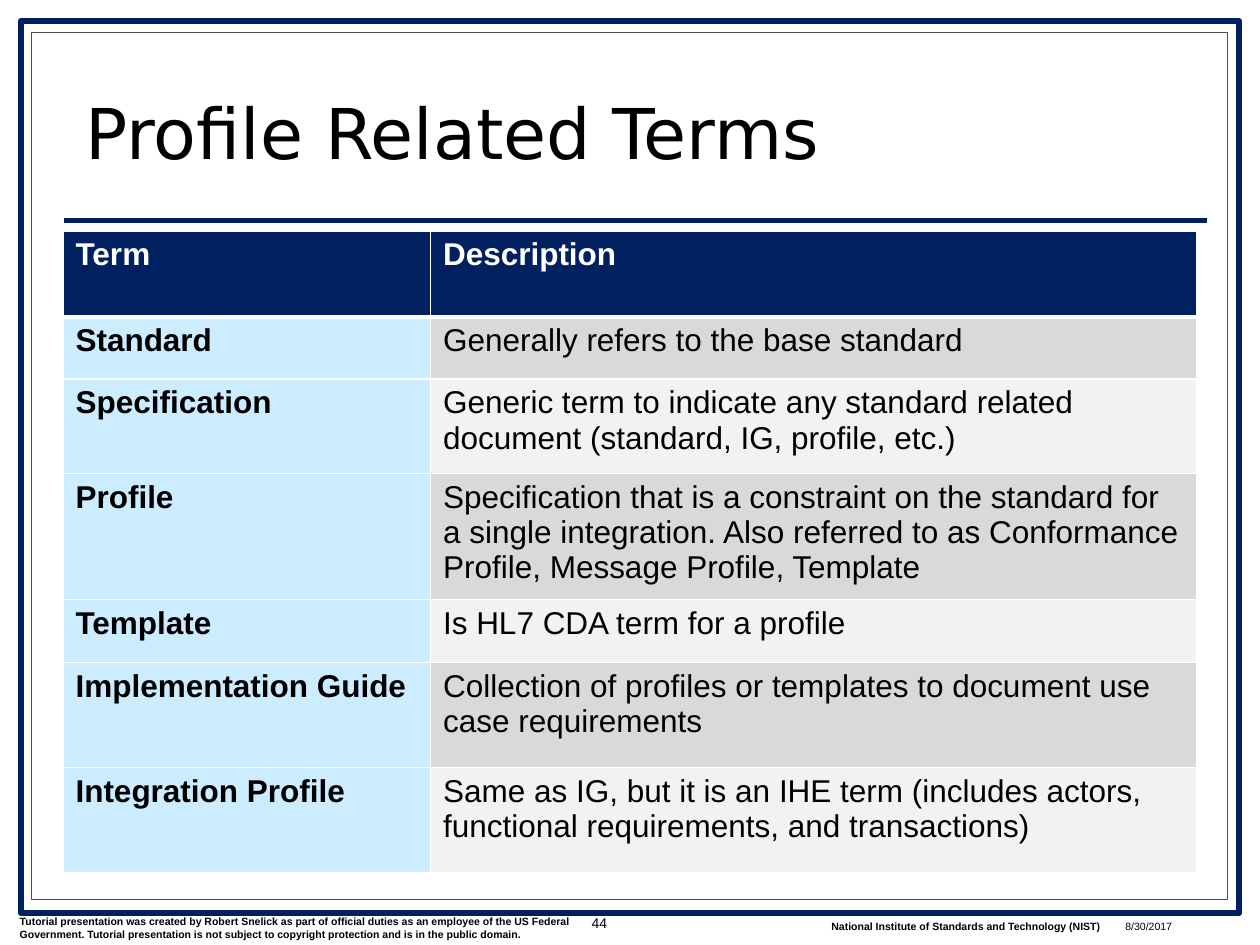
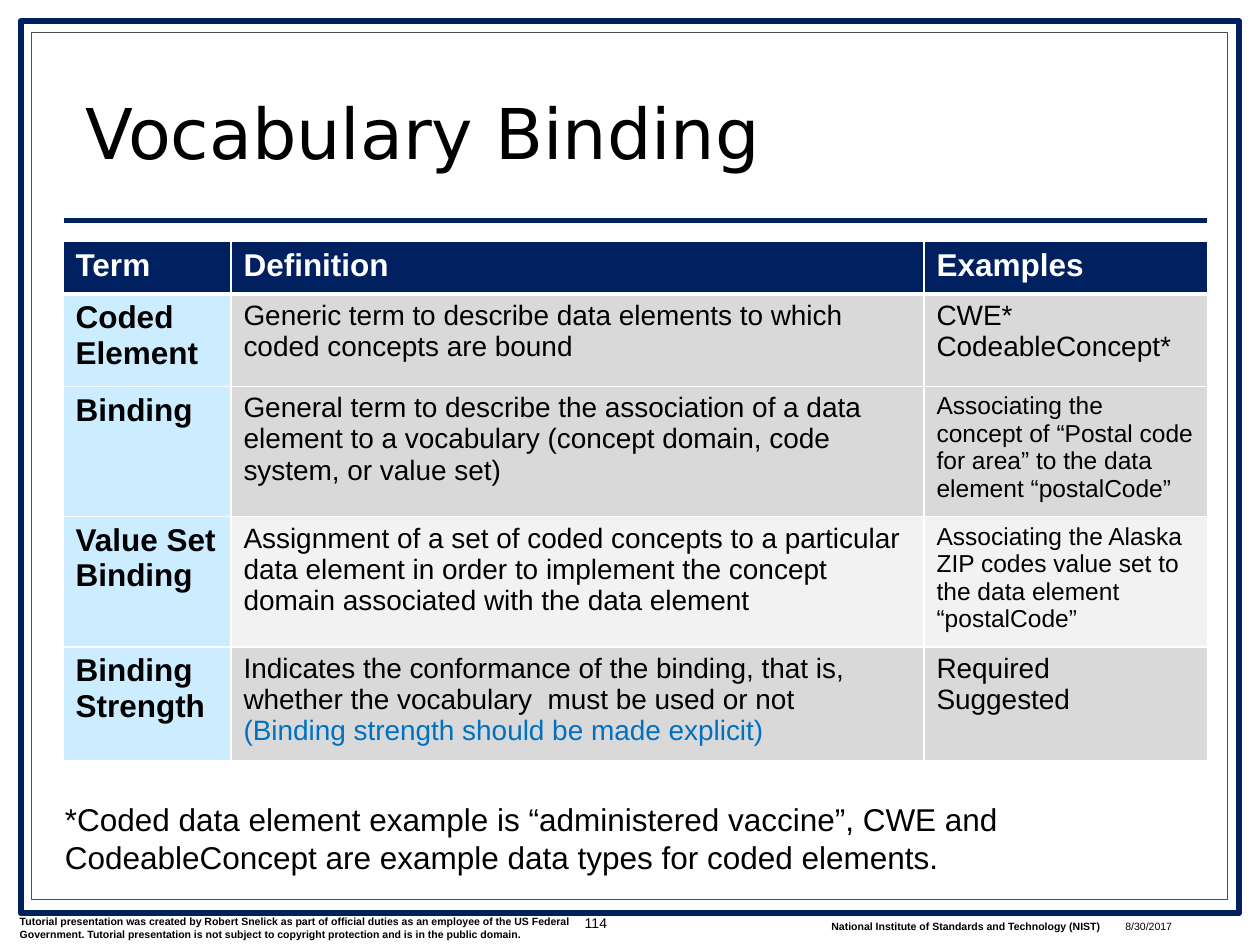
from lxml import etree
from pptx import Presentation
from pptx.dml.color import RGBColor
from pptx.enum import shapes, text
from pptx.oxml import ns
from pptx import util as u

NAVY = RGBColor(0x00, 0x20, 0x60)
CHARCOAL = RGBColor(0x4D, 0x4D, 0x4D)
BLACK = RGBColor(0x00, 0x00, 0x00)
WHITE = RGBColor(0xFF, 0xFF, 0xFF)
SKY = RGBColor(0xCC, 0xEC, 0xFF)
GREY = RGBColor(0xD9, 0xD9, 0xD9)
PALE = RGBColor(0xF2, 0xF2, 0xF2)
BLUE = RGBColor(0x00, 0x70, 0xC0)

WIDTH, HEIGHT = u.Inches(10), u.Inches(7.5)
COLUMNS, ROWS = 120, 90
BODY_FONT, TITLE_FONT = "Arial", "DejaVu Sans"

CREDIT = (
    "Tutorial presentation was created by Robert Snelick as part of official duties "
    "as an employee of the US Federal Government. Tutorial presentation is not subject "
    "to copyright protection and is in the public domain."
)
INSTITUTE = "National Institute of Standards and Technology (NIST)"
DATE = "8/30/2017"

PROFILE_TERMS = [
    ("Standard", "Generally refers to the base standard"),
    ("Specification",
     "Generic term to indicate any standard related document (standard, IG, profile, etc.)"),
    ("Profile",
     "Specification that is a constraint on the standard for a single integration. "
     "Also referred to as Conformance Profile, Message Profile, Template"),
    ("Template", "Is HL7 CDA term for a profile"),
    ("Implementation Guide",
     "Collection of profiles or templates to document use case requirements"),
    ("Integration Profile",
     "Same as IG, but it is an IHE term (includes actors, functional requirements, "
     "and transactions)"),
]

BINDING_TERMS = [
    ("Coded Element", GREY,
     ["Generic term to describe data elements to which coded concepts are bound"],
     ["CWE*", "CodeableConcept*"], 16),
    ("Binding", GREY,
     ["General term to describe the association of a data element to a vocabulary "
      "(concept domain, code system, or value set)"],
     ["Associating the concept of “Postal code for area” to the data element “postalCode”"], 14),
    ("Value Set Binding", PALE,
     ["Assignment of a set of coded concepts to a particular data element in order to "
      "implement the concept domain associated with the data element"],
     ["Associating the Alaska ZIP codes value set to the data element “postalCode”"], 14),
    ("Binding Strength", GREY,
     ["Indicates the conformance of the binding, that is, whether the vocabulary  must be "
      "used or not",
      ("(Binding strength should be made explicit)", BLUE)],
     ["Required", "Suggested"], 16),
]


def across(columns):
    return int(WIDTH * columns / COLUMNS)


def down(rows):
    return int(HEIGHT * rows / ROWS)


def area(left, top, width, height):
    return across(left), down(top), across(width), down(height)


def write(frame, lines, size, color=BLACK, bold=False, font=BODY_FONT,
          align=None, spacing=None):
    for index, line in enumerate(lines):
        words, line_color = line if isinstance(line, tuple) else (line, color)
        paragraph = frame.paragraphs[0] if index == 0 else frame.add_paragraph()
        paragraph.alignment = align
        paragraph.line_spacing = spacing
        run = paragraph.add_run()
        run.text = words
        run.font.name = font
        run.font.size = u.Pt(size)
        run.font.bold = bold
        run.font.color.rgb = line_color


def add_words(slide, place, words, size, anchor=text.MSO_ANCHOR.TOP, grow=False, **style):
    frame = slide.shapes.add_textbox(*area(*place)).text_frame
    frame.word_wrap = True
    frame.vertical_anchor = anchor
    if grow:
        frame.auto_size = text.MSO_AUTO_SIZE.SHAPE_TO_FIT_TEXT
    write(frame, [words], size, **style)


def add_frame(slide, place, color, weight):
    border = slide.shapes.add_shape(shapes.MSO_SHAPE.RECTANGLE, *area(*place))
    border.shadow.inherit = False
    border.fill.solid()
    border.fill.fore_color.rgb = WHITE
    border.line.color.rgb = color
    border.line.width = u.Pt(weight)


def add_title_rule(slide):
    rule = slide.shapes.add_connector(
        shapes.MSO_CONNECTOR.STRAIGHT, across(6.1), down(21), across(115), down(21))
    rule.line.color.rgb = NAVY
    rule.line.width = u.Pt(3)
    etree.SubElement(rule._element.spPr, ns.qn("a:effectLst"))


def add_term_slide(deck, title, number):
    slide = deck.slides.add_slide(deck.slide_layouts[6])
    add_frame(slide, (2, 2, 116, 85), NAVY, 3.5)
    add_frame(slide, (3, 3.1, 113.9, 82.6), CHARCOAL, 0.75)
    add_title_rule(slide)
    add_words(slide, (0.7, 86.6, 58, 3.6), CREDIT, 6, grow=True, bold=True)
    add_words(slide, (78, 87, 28.5, 2.4), INSTITUTE, 6, grow=True, bold=True)
    add_words(slide, (7, 6.25, 107, 10.8), title, 40, anchor=text.MSO_ANCHOR.BOTTOM,
              font=TITLE_FONT, spacing=0.8)
    add_words(slide, (106, 87, 11, 2), DATE, 6)
    add_words(slide, (52, 84.8, 7, 6.2), number, 8, anchor=text.MSO_ANCHOR.MIDDLE,
              align=text.PP_ALIGN.RIGHT)
    return slide


def set_borders(cell, top, bottom):
    properties = cell._tc.get_or_add_tcPr()
    for side, weight in (("L", 1), ("R", 1), ("T", top), ("B", bottom)):
        edge = etree.SubElement(properties, ns.qn(f"a:ln{side}"), w=str(u.Pt(weight)))
        fill = etree.SubElement(edge, ns.qn("a:solidFill"))
        etree.SubElement(fill, ns.qn("a:srgbClr"), val=str(WHITE))


def fill_cell(cell, lines, fill, size=18, color=BLACK, bold=False, top=1, bottom=1):
    set_borders(cell, top, bottom)
    cell.fill.solid()
    cell.fill.fore_color.rgb = fill
    write(cell.text_frame, lines, size, color, bold)


def add_term_table(slide, top, widths, heights, headings, entries):
    table = slide.shapes.add_table(
        len(heights), len(widths), *area(6, top, sum(widths), sum(heights))).table
    for column, width in zip(table.columns, widths):
        column.width = across(width)
    for row, height in zip(table.rows, heights):
        row.height = down(height)
    for column, heading in enumerate(headings):
        fill_cell(table.cell(0, column), [heading], NAVY, color=WHITE, bold=True, bottom=3)
    for row, (term, shade, details) in enumerate(entries, 1):
        top_weight = 3 if row == 1 else 1
        fill_cell(table.cell(row, 0), [term], SKY, bold=True, top=top_weight)
        for column, (lines, size) in enumerate(details, 1):
            fill_cell(table.cell(row, column), lines, shade, size, top=top_weight)


def add_profile_terms(deck):
    slide = add_term_slide(deck, "Profile Related Terms", "44")
    entries = [(term, PALE if index % 2 else GREY, [([description], 18)])
               for index, (term, description) in enumerate(PROFILE_TERMS)]
    add_term_table(slide, 22, [35, 73], [8.2, 5.9, 9, 8.2, 6, 10, 10],
                   ["Term", "Description"], entries)


def add_vocabulary_binding(deck):
    slide = add_term_slide(deck, "Vocabulary Binding", "114")
    entries = [(term, shade, [(definition, 16), (examples, example_size)])
               for term, shade, definition, examples, example_size in BINDING_TERMS]
    add_term_table(slide, 23, [16, 66, 27], [5] + [8.8] * len(entries),
                   ["Term", "Definition", "Examples"], entries)
    add_words(slide, (5, 75.6, 100, 8.5),
              "*Coded data element example is “administered vaccine”, CWE and "
              "CodeableConcept are example data types for coded elements.", 18, grow=True)


def main():
    deck = Presentation()
    deck.slide_width, deck.slide_height = WIDTH, HEIGHT
    add_profile_terms(deck)
    add_vocabulary_binding(deck)
    deck.save("out.pptx")


if __name__ == "__main__":
    main()
